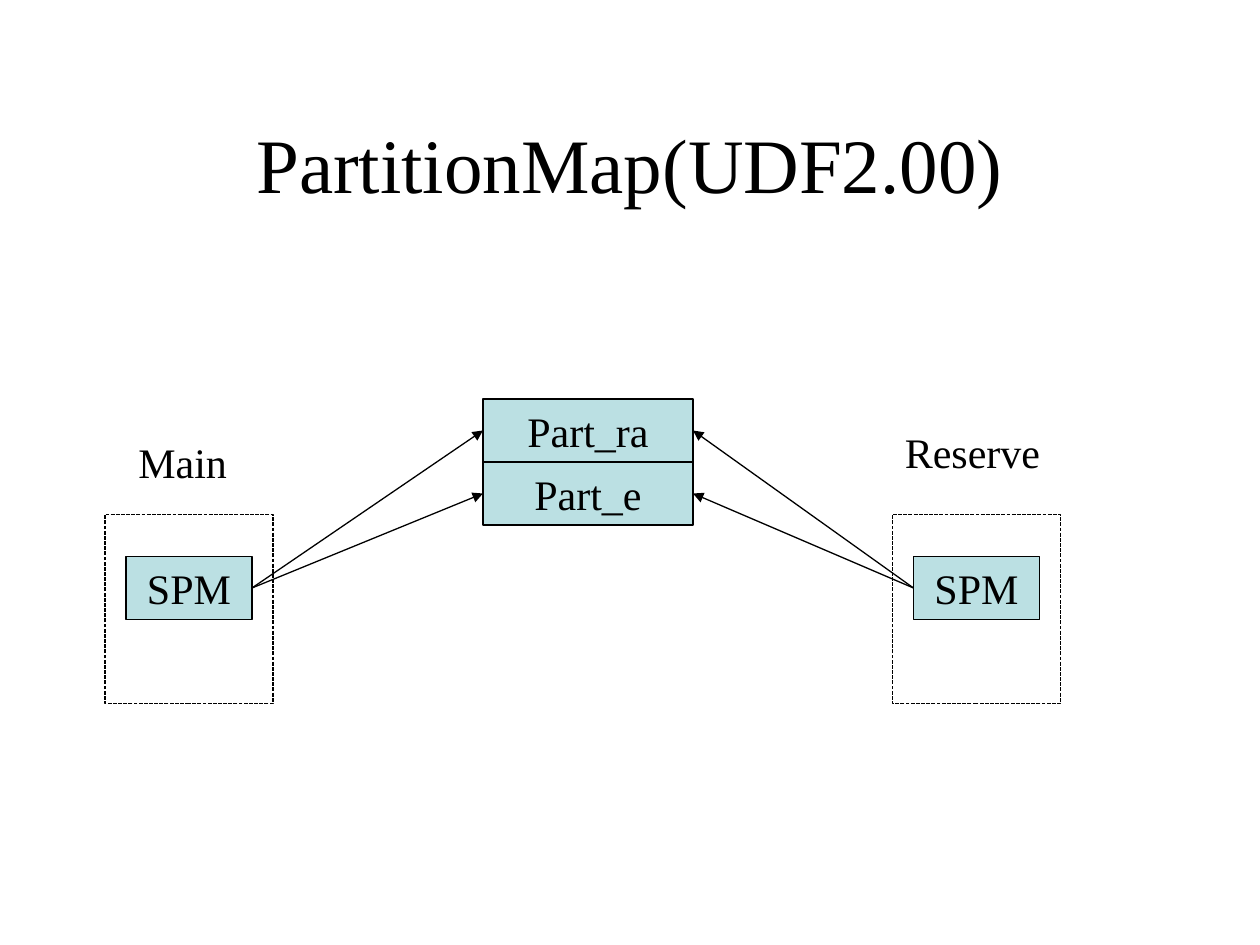
"""Build the PartitionMap slide: two SPM tables pointing at shared partitions."""
from lxml import etree
from pptx import Presentation
from pptx import util as u
from pptx.dml.color import RGBColor
from pptx.enum import dml, shapes, text
from pptx.oxml.ns import qn

BLACK = RGBColor(0x00, 0x00, 0x00)
TEAL = RGBColor(0xBB, 0xE0, 0xE3)
ROW_HEIGHT = 36
SPM_TOP = 318
PART_LEFT, PART_WIDTH = 276, 120


def write(shape, words, size, align, anchor, wrap=False):
    frame = shape.text_frame
    frame.word_wrap = wrap
    frame.vertical_anchor = anchor
    para = frame.paragraphs[0]
    para.text = words
    para.alignment = align
    para.font.name = "Times New Roman"
    para.font.size = u.Pt(size)
    para.font.color.rgb = BLACK


def add_box(left, top, width, height, words=None):
    box = page.shapes.add_shape(
        shapes.MSO_SHAPE.RECTANGLE, u.Pt(left), u.Pt(top), u.Pt(width), u.Pt(height))
    box.shadow.inherit = False
    box.line.color.rgb = BLACK
    box.line.width = u.Pt(0.75)
    if words:
        box.fill.solid()
        box.fill.fore_color.rgb = TEAL
        write(box, words, 24, text.PP_ALIGN.CENTER, text.MSO_ANCHOR.MIDDLE)
    else:
        box.fill.background()
        box.line.dash_style = dml.MSO_LINE.SQUARE_DOT


deck = Presentation()
deck.slide_width, deck.slide_height = u.Pt(720), u.Pt(540)
page = deck.slides.add_slide(deck.slide_layouts[6])

title = page.shapes.add_textbox(u.Pt(54), u.Pt(48), u.Pt(612), u.Pt(90))
write(title, "PartitionMap(UDF2.00)", 44, text.PP_ALIGN.CENTER,
      text.MSO_ANCHOR.MIDDLE, wrap=True)

part_tops = [228, 228 + ROW_HEIGHT]
for name, top in zip(["Part_ra", "Part_e"], part_tops):
    add_box(PART_LEFT, top, PART_WIDTH, ROW_HEIGHT, name)

for frame_left, spm_left, arrow_start, arrow_end in [
        (60, 72, 144, PART_LEFT),
        (510, 522, 522, PART_LEFT + PART_WIDTH)]:
    add_box(spm_left, SPM_TOP, 72, ROW_HEIGHT, "SPM")
    add_box(frame_left, 294, 96, 108)
    for top in part_tops:
        arrow = page.shapes.add_connector(
            shapes.MSO_CONNECTOR.STRAIGHT,
            u.Pt(arrow_start), u.Pt(SPM_TOP + ROW_HEIGHT / 2),
            u.Pt(arrow_end), u.Pt(top + ROW_HEIGHT / 2))
        arrow.line.color.rgb = BLACK
        arrow.line.width = u.Pt(0.75)
        etree.SubElement(arrow.line._get_or_add_ln(), qn("a:tailEnd"), type="triangle")
        etree.SubElement(arrow._element.spPr, qn("a:effectLst"))

for name, left, top, width in [("Main", 72, 246, 65), ("Reserve", 510, 240, 91.5)]:
    label = page.shapes.add_textbox(u.Pt(left), u.Pt(top), u.Pt(width), u.Pt(ROW_HEIGHT))
    write(label, name, 24, text.PP_ALIGN.LEFT, text.MSO_ANCHOR.TOP)
    label.text_frame.auto_size = text.MSO_AUTO_SIZE.SHAPE_TO_FIT_TEXT

deck.save("out.pptx")
